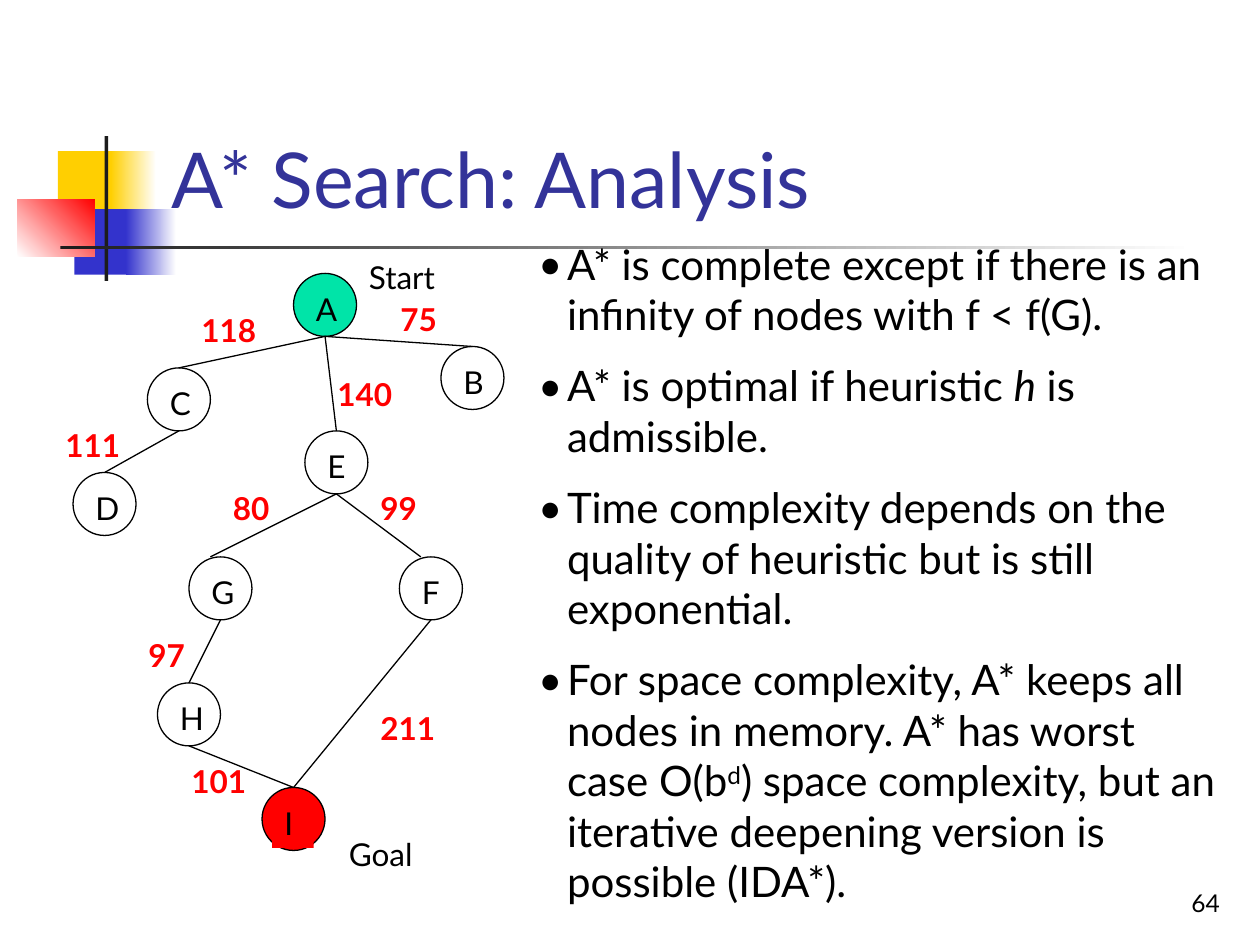
"""Build the A* search analysis slide: a weighted search graph beside four findings."""
from lxml.etree import SubElement
from pptx import Presentation
from pptx.dml.color import RGBColor
from pptx.enum.shapes import MSO_CONNECTOR, MSO_SHAPE
from pptx.enum.text import MSO_ANCHOR, MSO_AUTO_SIZE, PP_ALIGN
from pptx.oxml.ns import qn
from pptx.util import Inches, Pt

FONT = "Lato"
BLACK = RGBColor(0x00, 0x00, 0x00)
WHITE = RGBColor(0xFF, 0xFF, 0xFF)
RED = RGBColor(0xFF, 0x00, 0x00)
GREEN = RGBColor(0x00, 0xE4, 0xA8)
YELLOW = RGBColor(0xFF, 0xCF, 0x01)
BLUE = RGBColor(0x33, 0x33, 0xCC)
NAVY = RGBColor(0x33, 0x33, 0x99)
CHARCOAL = RGBColor(0x1C, 0x1C, 0x1C)

TITLE = "A* Search: Analysis"
PAGE_NUMBER = "64"
FINDINGS = [
    [("A* is complete except if there is an infinity of nodes with f < f(G).", {})],
    [("A* is optimal if heuristic ", {}), ("h", {"italic": True}), (" is admissible.", {})],
    [("Time complexity depends on the quality of heuristic but is still exponential.", {})],
    [
        ("For space complexity, A* keeps all nodes in memory. A* has worst case O(b", {}),
        ("d", {"baseline": 30}),
        (") space complexity, but an iterative deepening version is possible (IDA*).", {}),
    ],
]

ORNAMENTS = [
    ((0.46, 1.2, 0.48, 0.52), (YELLOW,), 0),
    ((0.88, 1.2, 0.36, 0.52), (YELLOW, WHITE), 0),
    ((0.59, 1.66, 0.46, 0.52), (BLUE,), 0),
    ((1, 1.66, 0.4, 0.52), (BLUE, WHITE), 0),
    ((0.14, 1.58, 0.61, 0.46), (WHITE, RED), 45),
    ((0.83, 1.08, 0.03, 1.15), (CHARCOAL,), 0),
    ((0.48, 1.95, 9, 0.03), (CHARCOAL, WHITE), 0),
]

DIAMETER = 0.5
LABEL_INSET = 0.08
LABEL_WIDTH, LABEL_HEIGHT = 0.33, 0.4
NODES = {
    "A": (2.33, 2.17),
    "B": (3.5, 2.75),
    "D": (0.58, 3.75),
    "C": (1.17, 2.92),
    "E": (2.42, 3.42),
    "F": (3.17, 4.42),
    "I": (2.08, 6.25),
    "G": (1.5, 4.42),
    "H": (1.25, 5.42),
}
NODE_FILLS = {"A": GREEN, "I": RED}
LABEL_FILLS = {"I": RED}
EDGES = ["EF", "FI", "EG", "GH", "HI", "AB", "AE", "AC", "CD"]
END_SHIFTS = {"EF": -0.08, "EG": -0.08}
COSTS = [
    ("99", 2.92, 3.83, 0.67),
    ("211", 2.92, 5.58, 0.83),
    ("80", 1.75, 3.83, 0.67),
    ("97", 1.08, 5, 0.67),
    ("101", 1.42, 6, 0.92),
    ("75", 3.08, 2.33, 0.67),
    ("118", 1.5, 2.42, 0.83),
    ("111", 0.42, 3.33, 0.83),
    ("140", 2.58, 2.93, 0.83),
]
ENDPOINTS = [("Start", 2.83, 2, 1.33), ("Goal", 2.67, 6.58, 1.33)]


def write(paragraph, text, size=18, color=BLACK, bold=False, italic=False, baseline=0):
    run = paragraph.add_run()
    run.text = text
    run.font.name = FONT
    run.font.size = Pt(size)
    run.font.color.rgb = color
    run.font.bold = bold
    run.font.italic = italic
    if baseline:
        run.font._element.set("baseline", str(baseline * 1000))


def add_label(shapes, text, left, top, width, height=LABEL_HEIGHT, **style):
    label = shapes.add_textbox(*map(Inches, (left, top, width, height)))
    label.text_frame.word_wrap = True
    write(label.text_frame.paragraphs[0], text, **style)
    return label


def add_ornament(shapes, box, colors, angle):
    ornament = shapes.add_shape(MSO_SHAPE.RECTANGLE, *map(Inches, box))
    ornament.shadow.inherit = False
    ornament.line.fill.background()
    if len(colors) == 1:
        ornament.fill.solid()
        ornament.fill.fore_color.rgb = colors[0]
        return
    ornament.fill.gradient()
    ornament.fill.gradient_angle = angle
    for stop, color, position in zip(ornament.fill.gradient_stops, colors, (0, 1)):
        stop.color.rgb = color
        stop.position = position


def add_node(shapes, name):
    left, top = NODES[name]
    node = shapes.add_group_shape()
    circle = node.shapes.add_shape(
        MSO_SHAPE.OVAL, *map(Inches, (left, top, DIAMETER, DIAMETER)))
    circle.shadow.inherit = False
    circle.line.color.rgb = BLACK
    circle.line.width = Pt(0.75)
    label = add_label(
        node.shapes, name, left + LABEL_INSET, top + LABEL_INSET, LABEL_WIDTH)
    for part, fills in ((circle, NODE_FILLS), (label, LABEL_FILLS)):
        if name in fills:
            part.fill.solid()
            part.fill.fore_color.rgb = fills[name]
        else:
            part.fill.background()


def add_edge(shapes, edge):
    (parent_left, parent_top), (child_left, child_top) = (NODES[name] for name in edge)
    radius = DIAMETER / 2
    start = parent_left + radius, parent_top + DIAMETER
    end = child_left + radius + END_SHIFTS.get(edge, 0), child_top
    connector = shapes.add_connector(MSO_CONNECTOR.STRAIGHT, *map(Inches, start + end))
    connector.line.color.rgb = BLACK
    connector.line.width = Pt(0.75)
    SubElement(connector.element.spPr, qn("a:effectLst"))


def place(placeholder, left, top, width, height, anchor):
    placeholder.left, placeholder.top = Inches(left), Inches(top)
    placeholder.width, placeholder.height = Inches(width), Inches(height)
    frame = placeholder.text_frame
    frame.auto_size = MSO_AUTO_SIZE.NONE
    frame.word_wrap = True
    frame.vertical_anchor = anchor
    return frame


def add_finding(paragraph, finding, space_before):
    paragraph.space_before = Pt(space_before)
    properties = paragraph._p.get_or_add_pPr()
    properties.set("marL", str(Inches(0.23)))
    properties.set("indent", str(-Inches(0.23)))
    SubElement(properties, qn("a:buFont")).set("typeface", FONT)
    SubElement(properties, qn("a:buChar")).set("char", "•")
    for text, style in finding:
        write(paragraph, text, size=24, **style)


def main():
    presentation = Presentation()
    presentation.slide_width, presentation.slide_height = Inches(10), Inches(7.5)
    slide = presentation.slides.add_slide(presentation.slide_layouts[1])
    shapes = slide.shapes
    title, body = slide.placeholders

    for ornament in ORNAMENTS:
        add_ornament(shapes, *ornament)
    page_number = add_label(shapes, PAGE_NUMBER, 7.7, 6.83, 2.08, 0.5, size=14)
    page_number.text_frame.vertical_anchor = MSO_ANCHOR.BOTTOM
    page_number.text_frame.paragraphs[0].alignment = PP_ALIGN.RIGHT

    shapes.element.append(title.element)
    heading = place(title, 1.26, 0.23, 8.52, 1.6, MSO_ANCHOR.BOTTOM).paragraphs[0]
    heading.alignment = PP_ALIGN.LEFT
    write(heading, TITLE, size=44, color=NAVY)

    for name in NODES:
        add_node(shapes, name)
    for edge in EDGES:
        add_edge(shapes, edge)
    for cost in COSTS:
        add_label(shapes, *cost, color=RED, bold=True)
    for endpoint in ENDPOINTS:
        add_label(shapes, *endpoint)

    shapes.element.append(body.element)
    findings = place(body, 4.17, 1.84, 5.58, 5.49, MSO_ANCHOR.TOP)
    for index, finding in enumerate(FINDINGS):
        paragraph = findings.add_paragraph() if index else findings.paragraphs[0]
        add_finding(paragraph, finding, 12 if index else 0)

    presentation.save("out.pptx")


if __name__ == "__main__":
    main()
